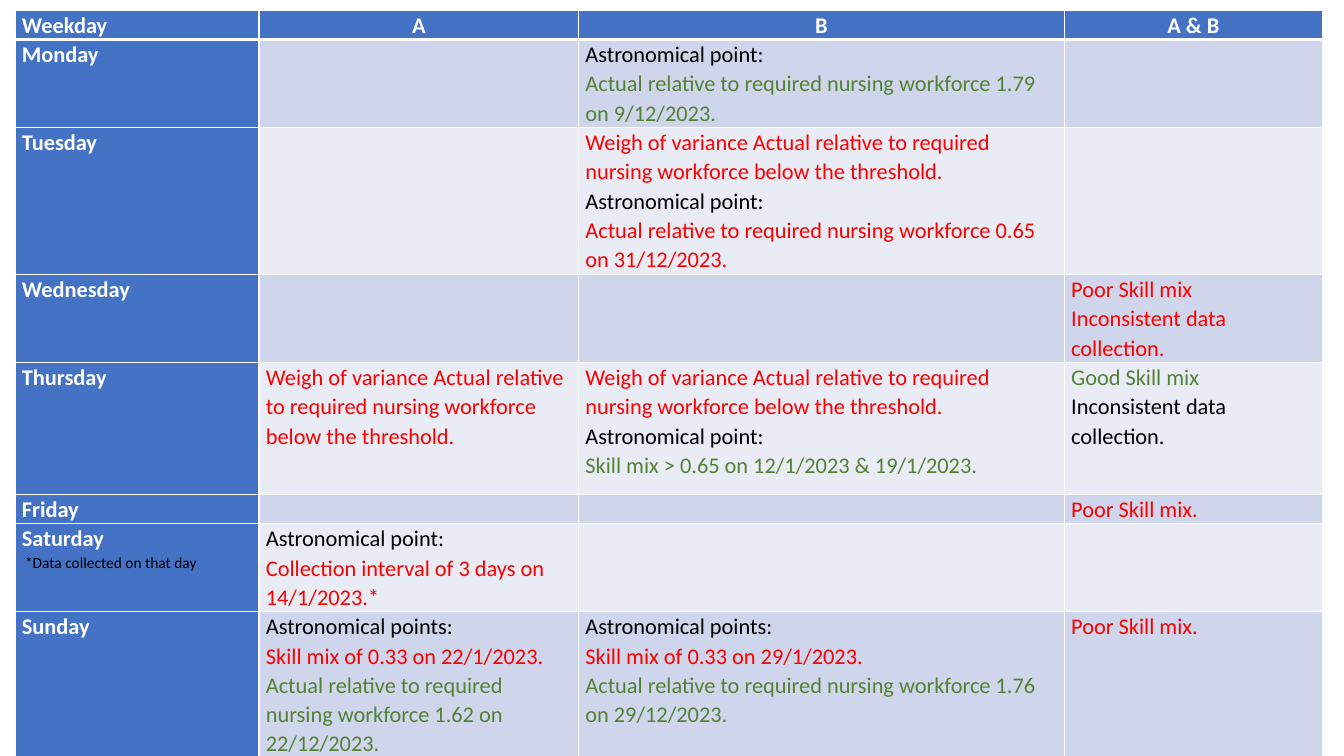
from dataclasses import dataclass

import pptx
import pptx.dml.color
import pptx.enum.text
import pptx.oxml.ns
import pptx.util
from lxml import etree

Pt = pptx.util.Pt
qn = pptx.oxml.ns.qn


@dataclass(frozen=True)
class Theme:
    font: str = "Calibri"
    table_size: int = 16
    note_size: int = 11
    line_spacing: float = 1.07
    white: str = "FFFFFF"
    black: str = "000000"
    red: str = "FF0000"
    green: str = "548235"
    header: str = "4472C4"
    bands: tuple = ("CFD5EA", "E9EBF5")


THEME = Theme()
COLUMN_WIDTHS = (174.25, 228.25, 347, 184.3)
ROW_HEIGHTS = (18.7, 57.6, 105.1, 57.6, 94.3, 18.7, 57.6, 96.5)
HEADINGS = ("Weekday", "A", "B", "A & B")

BELOW = (
    "Weigh of variance Actual relative to required nursing workforce below the threshold.",
    THEME.red,
)
POINT = ("Astronomical point:", THEME.black)
POINTS = ("Astronomical points:", THEME.black)
POOR = ("Poor Skill mix.", THEME.red)
INCONSISTENT = "Inconsistent data collection."


def workforce(ratio_and_date, color):
    return f"Actual relative to required nursing workforce {ratio_and_date}.", color


# Each weekday has the findings for A, B and A & B
FINDINGS = {
    "Monday": ([], [POINT, workforce("1.79 on 9/12/2023", THEME.green)], []),
    "Tuesday": ([], [BELOW, POINT, workforce("0.65 on 31/12/2023", THEME.red)], []),
    "Wednesday": ([], [], [("Poor Skill mix", THEME.red), (INCONSISTENT, THEME.red)]),
    "Thursday": (
        [BELOW],
        [BELOW, POINT, ("Skill mix > 0.65 on 12/1/2023 & 19/1/2023.", THEME.green)],
        [("Good Skill mix", THEME.green), (INCONSISTENT, THEME.black)],
    ),
    "Friday": ([], [], [POOR]),
    "Saturday": (
        [POINT, ("Collection interval of 3 days on 14/1/2023.*", THEME.red)],
        [],
        [],
    ),
    "Sunday": (
        [
            POINTS,
            ("Skill mix of 0.33 on 22/1/2023.", THEME.red),
            workforce("1.62 on 22/12/2023", THEME.green),
        ],
        [
            POINTS,
            ("Skill mix of 0.33 on 29/1/2023.", THEME.red),
            workforce("1.76 on 29/12/2023", THEME.green),
        ],
        [POOR],
    ),
}


def rgb(color):
    return pptx.dml.color.RGBColor.from_string(color)


def add_span(para, text, size, color, bold=False):
    span = para.add_run()
    span.text = text
    span.font.name = THEME.font
    span.font.size = Pt(size)
    span.font.bold = bold
    span.font.color.rgb = rgb(color)


def set_borders(cell, top, bottom):
    """Draw white cell borders, 1 pt at the sides, above the fill in the XML."""
    widths = {"lnL": 1, "lnR": 1, "lnT": top, "lnB": bottom}
    properties = cell._tc.get_or_add_tcPr()
    for position, (side, width) in enumerate(widths.items()):
        line = etree.Element(qn(f"a:{side}"), w=str(Pt(width)))
        fill = etree.SubElement(line, qn("a:solidFill"))
        etree.SubElement(fill, qn("a:srgbClr"), val=THEME.white)
        properties.insert(position, line)


def fill_cell(cell, lines, fill, bold=False, center=False, space_after=0, top=1, bottom=1):
    cell.fill.solid()
    cell.fill.fore_color.rgb = rgb(fill)
    set_borders(cell, top, bottom)
    cell.margin_left = cell.margin_right = Pt(4.9)
    cell.margin_top = cell.margin_bottom = 0
    frame = cell.text_frame
    for index, (text, color) in enumerate(lines):
        para = frame.add_paragraph() if index else frame.paragraphs[0]
        para.line_spacing = THEME.line_spacing
        para.space_after = Pt(space_after)
        if center:
            para.alignment = pptx.enum.text.PP_ALIGN.CENTER
        add_span(para, text, THEME.table_size, color, bold)
    if not lines:
        size = str(THEME.table_size * 100)
        etree.SubElement(frame.paragraphs[0]._p, qn("a:endParaRPr"), sz=size)


def add_findings_table(page):
    frame = page.shapes.add_table(
        len(ROW_HEIGHTS), len(COLUMN_WIDTHS),
        Pt(10.8), Pt(7.2), Pt(sum(COLUMN_WIDTHS)), Pt(sum(ROW_HEIGHTS)),
    )
    table = frame.table
    for column, width in zip(table.columns, COLUMN_WIDTHS):
        column.width = Pt(width)
    for row, height in zip(table.rows, ROW_HEIGHTS):
        row.height = Pt(height)

    for index, heading in enumerate(HEADINGS):
        fill_cell(table.cell(0, index), [(heading, THEME.white)], THEME.header,
                  bold=True, center=index > 0, space_after=8, bottom=3)
    for row, (weekday, findings) in enumerate(FINDINGS.items(), start=1):
        top = 3 if row == 1 else 1
        fill_cell(table.cell(row, 0), [(weekday, THEME.white)], THEME.header,
                  bold=True, top=top)
        band = THEME.bands[(row - 1) % 2]
        for column, lines in enumerate(findings, start=1):
            fill_cell(table.cell(row, column), lines, band, top=top)


def add_note(page, text, left, top, width, height):
    box = page.shapes.add_textbox(Pt(left), Pt(top), Pt(width), Pt(height))
    frame = box.text_frame
    frame.word_wrap = True
    frame.auto_size = pptx.enum.text.MSO_AUTO_SIZE.SHAPE_TO_FIT_TEXT
    frame.vertical_anchor = pptx.enum.text.MSO_ANCHOR.MIDDLE
    add_span(frame.paragraphs[0], text, THEME.note_size, THEME.black)


def main():
    deck = pptx.Presentation()
    deck.slide_width, deck.slide_height = Pt(960), Pt(540)
    page = deck.slides.add_slide(deck.slide_layouts[6])
    add_findings_table(page)
    add_note(page, "*Data collected on that day", 10.8, 391, 149.8, 20.9)
    deck.save("out.pptx")


if __name__ == "__main__":
    main()
